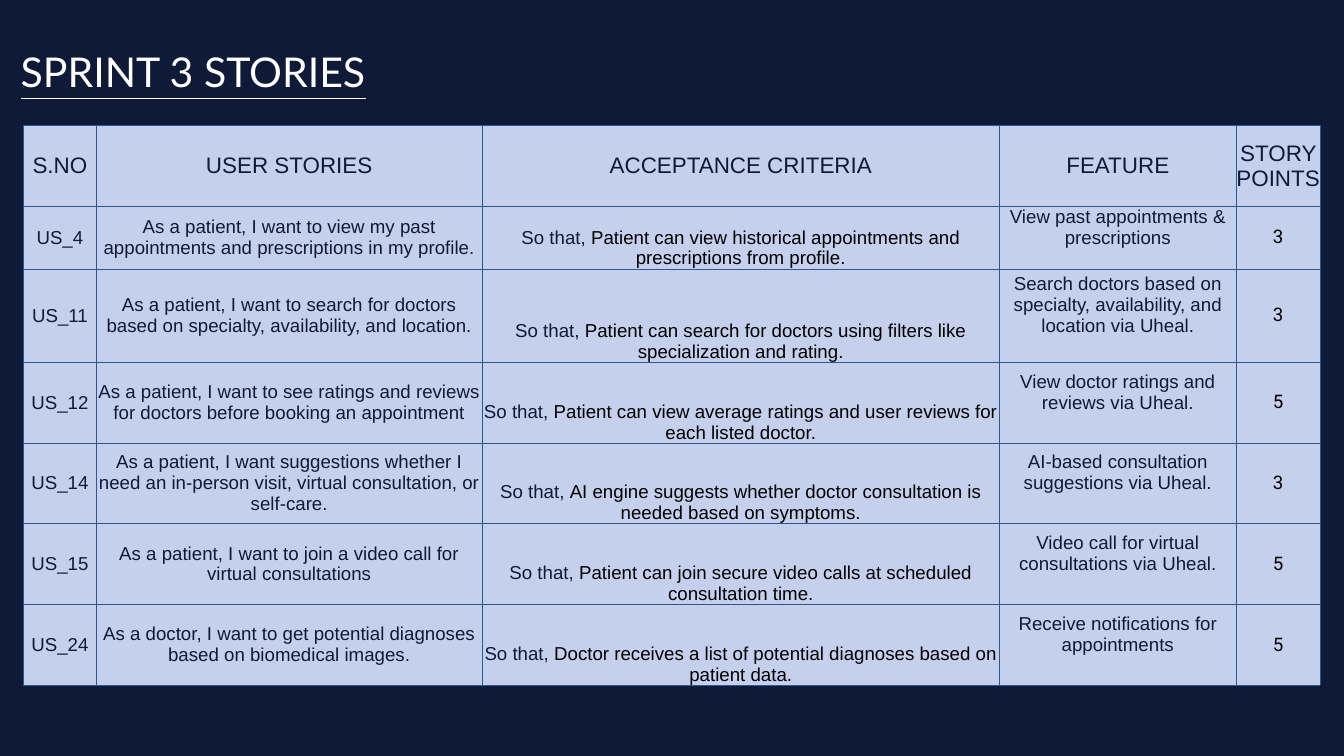
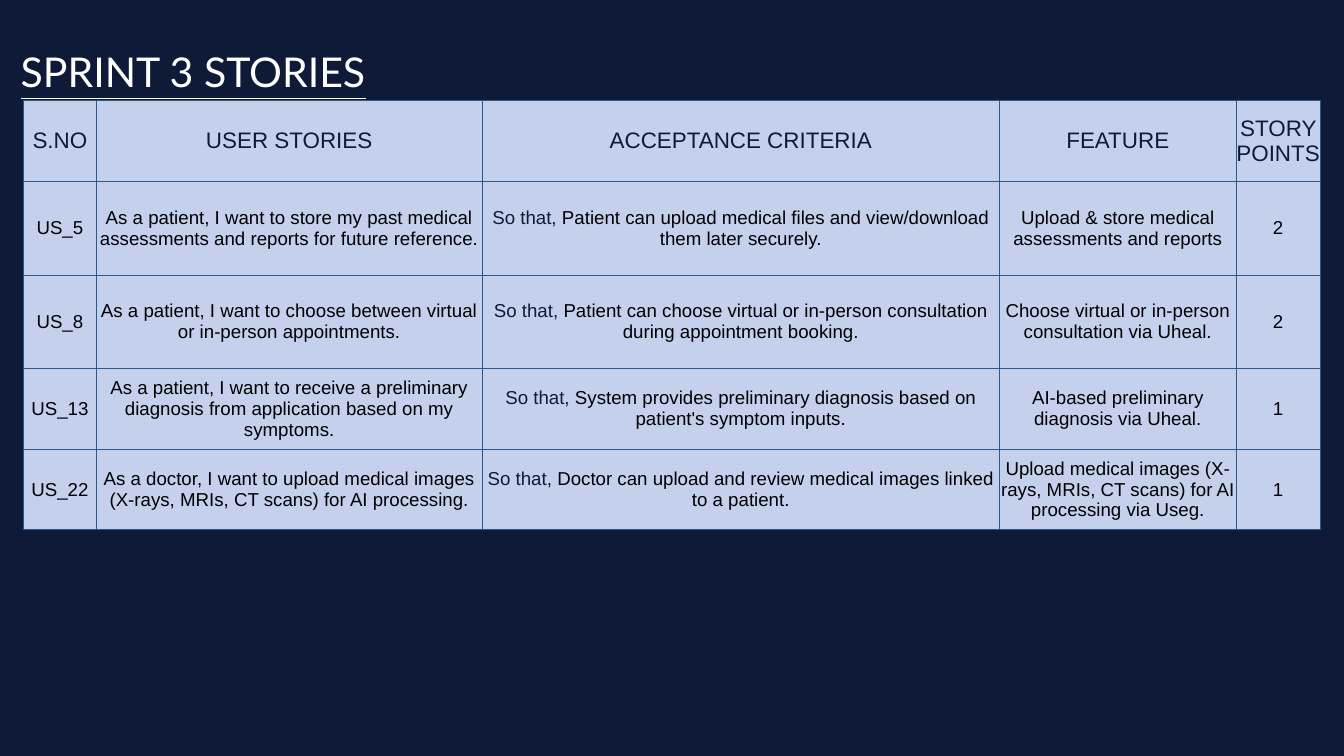
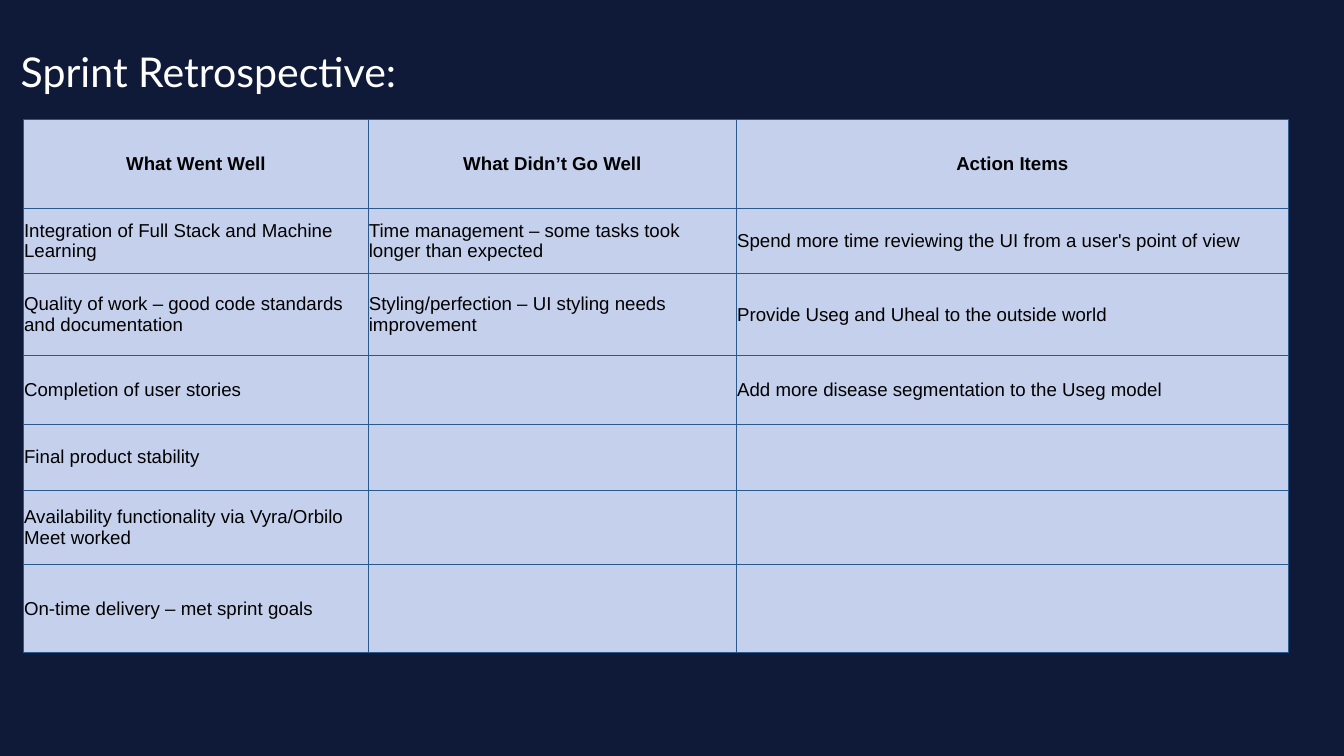
from dataclasses import dataclass, field

import pptx
import pptx.dml.color
import pptx.enum.text
import pptx.oxml.ns
import pptx.util
from lxml import etree
from pptx.util import Cm

COLORS = {
    "navy": "0F1A38",
    "cell": "C4D0EC",
    "border": "2A598E",
    "black": "000000",
    "white": "FFFFFF",
}
BORDER_WIDTH = pptx.util.Pt(0.75)
TABLE_LEFT = 0.89
ALIGN = pptx.enum.text.PP_ALIGN
ANCHOR = pptx.enum.text.MSO_ANCHOR

STORY_COLUMNS = [2.75, 14.58, 19.56, 8.94, 3.18]
STORY_HEADINGS = ["S.NO", "USER STORIES", "ACCEPTANCE CRITERIA", "FEATURE", "STORY POINTS"]
HEADING_HEIGHT = 3.05


@dataclass
class CellText:
    """Text of one table cell; the lead is a navy opening before the text."""
    text: str
    lead: str = ""
    size: int = 20
    font: str = "Arial"
    color: str = "black"
    bold: bool = False
    align: ALIGN = ALIGN.CENTER
    anchor: ANCHOR = ANCHOR.MIDDLE
    inset: float = 0.02
    bottom: float = 0


@dataclass
class Grid:
    """Position, column widths and row heights (cm) with the cells by row."""
    top: float
    columns: list[float]
    heights: list[float]
    rows: list[list[CellText]] = field(default_factory=list)


@dataclass
class Story:
    number: str
    wish: str
    criterion: str
    feature: str
    points: int
    height: float = 3.05


# ---- Content ----
PROFILE_STORIES = [
    Story("US_4", "As a patient, I want to view my past appointments and prescriptions in my profile.",
          "Patient can view historical appointments and prescriptions from profile.",
          "View past appointments & prescriptions", 3, 2.24),
    Story("US_11", "As a patient, I want to search for doctors based on specialty, availability, and location.",
          "Patient can search for doctors using filters like specialization and rating.",
          "Search doctors based on specialty, availability, and location via Uheal.", 3, 3.53),
    Story("US_12", "As a patient, I want to see ratings and reviews for doctors before booking an appointment",
          "Patient can view average ratings and user reviews for each listed doctor.",
          "View doctor ratings and reviews via Uheal.", 5),
    Story("US_14", "As a patient, I want suggestions whether I need an in-person visit, "
          "virtual consultation, or self-care.",
          "AI engine suggests whether doctor consultation is needed based on symptoms.",
          "AI-based consultation suggestions via Uheal.", 3),
    Story("US_15", "As a patient, I want to join a video call for virtual consultations",
          "Patient can join secure video calls at scheduled consultation time.",
          "Video call for virtual consultations via Uheal.", 5),
    Story("US_24", "As a doctor, I want to get potential diagnoses based on biomedical images.",
          "Doctor receives a list of potential diagnoses based on patient data.",
          "Receive notifications for appointments", 5),
]

RECORD_STORIES = [
    Story("US_5", "As a patient, I want to store my past medical assessments and reports for future reference.",
          "Patient can upload medical files and view/download them later securely.",
          "Upload & store medical assessments and reports", 2, 3.53),
    Story("US_8", "As a patient, I want to choose between virtual or in-person appointments.",
          "Patient can choose virtual or in-person consultation during appointment booking.",
          "Choose virtual or in-person consultation via Uheal.", 2, 3.53),
    Story("US_13", "As a patient, I want to receive a preliminary diagnosis from application based on my symptoms.",
          "System provides preliminary diagnosis based on patient's symptom inputs.",
          "AI-based preliminary diagnosis via Uheal.", 1),
    Story("US_22", "As a doctor, I want to upload medical images (X-rays, MRIs, CT scans) for AI processing.",
          "Doctor can upload and review medical images linked to a patient.",
          "Upload medical images (X-rays, MRIs, CT scans) for AI processing via Useg.", 1),
]

RETROSPECTIVE = {
    "What Went Well": [
        "Integration of Full Stack and Machine Learning",
        "Quality of work – good code standards and documentation",
        "Completion of user stories",
        "Final product stability",
        "Availability functionality via Vyra/Orbilo Meet worked",
        "On-time delivery – met sprint goals",
    ],
    "What Didn’t Go Well": [
        "Time management – some tasks took longer than expected",
        "Styling/perfection – UI styling needs improvement",
    ],
    "Action Items": [
        "Spend more time reviewing the UI from a user's point of view",
        "Provide Useg and Uheal to the outside world",
        "Add more disease segmentation to the Useg model",
    ],
}


# ---- Drawing ----
def rgb(name: str) -> pptx.dml.color.RGBColor:
    return pptx.dml.color.RGBColor.from_string(COLORS[name])


def add_text(paragraph, text: str, *, size: int, font: str, color: str,
             bold: bool = False, underline: bool = False) -> None:
    run = paragraph.add_run()
    run.text = text
    run.font.size = pptx.util.Pt(size)
    run.font.name = font
    run.font.color.rgb = rgb(color)
    run.font.bold = bold
    run.font.underline = underline


def add_titled_slide(deck, title_text: str, underline: bool = False):
    slide = deck.slides.add_slide(deck.slide_layouts[5])
    title = slide.shapes.title
    title.left, title.top, title.width, title.height = Cm(0.53), Cm(0.66), Cm(33.32), Cm(4.09)
    frame = title.text_frame
    frame.word_wrap = True
    frame.auto_size = pptx.enum.text.MSO_AUTO_SIZE.NONE
    frame.vertical_anchor = ANCHOR.MIDDLE
    heading = frame.paragraphs[0]
    heading.alignment = ALIGN.LEFT
    add_text(heading, title_text, size=44, font="Lato", color="white", underline=underline)
    return slide


def style_cell(cell) -> None:
    properties = cell._tc.get_or_add_tcPr()
    for side in ("a:lnL", "a:lnR", "a:lnT", "a:lnB"):
        line = etree.SubElement(properties, pptx.oxml.ns.qn(side), w=str(int(BORDER_WIDTH)))
        fill = etree.SubElement(line, pptx.oxml.ns.qn("a:solidFill"))
        etree.SubElement(fill, pptx.oxml.ns.qn("a:srgbClr"), val=COLORS["border"])
    cell.fill.solid()
    cell.fill.fore_color.rgb = rgb("cell")


def fill_cell(cell, content: CellText) -> None:
    style_cell(cell)
    cell.margin_left = cell.margin_right = cell.margin_top = Cm(content.inset)
    cell.margin_bottom = Cm(content.bottom)
    cell.vertical_anchor = content.anchor
    paragraph = cell.text_frame.paragraphs[0]
    paragraph.alignment = content.align
    if content.lead:
        add_text(paragraph, content.lead, size=content.size, font=content.font, color="navy")
    if content.text:
        add_text(paragraph, content.text, size=content.size, font=content.font,
                 color=content.color, bold=content.bold)


def add_grid(slide, grid: Grid) -> None:
    table = slide.shapes.add_table(
        len(grid.rows), len(grid.columns), Cm(TABLE_LEFT), Cm(grid.top),
        Cm(sum(grid.columns)), Cm(sum(grid.heights))).table
    table.horz_banding = False
    for column, width in zip(table.columns, grid.columns):
        column.width = Cm(width)
    for row, height, contents in zip(table.rows, grid.heights, grid.rows):
        row.height = Cm(height)
        for cell, content in zip(row.cells, contents):
            fill_cell(cell, content)


# ---- Tables ----
def story_grid(top: float, stories: list[Story], raised: bool) -> Grid:
    """Raised tables lift the feature text and set the criteria on the row's base."""
    plain = {"color": "navy", "inset": 0} if raised else {}
    criterion = {"anchor": ANCHOR.BOTTOM} if raised else {}
    feature = {**plain, "bottom": 0.79} if raised else {}
    points = {"font": "Roboto", "inset": 0} if raised else {}
    rows = [[CellText(text, size=24, color="navy", inset=0) for text in STORY_HEADINGS]]
    for story in stories:
        rows.append([
            CellText(story.number, **plain),
            CellText(story.wish, **plain),
            CellText(story.criterion, lead="So that, ", **criterion),
            CellText(story.feature, **feature),
            CellText(str(story.points), **points),
        ])
    heights = [HEADING_HEIGHT] + [story.height for story in stories]
    return Grid(top, STORY_COLUMNS, heights, rows)


def retrospective_grid() -> Grid:
    heights = [3.35, 2.46, 3.12, 2.59, 2.49, 2.79, 3.35]
    rows = [[CellText(heading, bold=True) for heading in RETROSPECTIVE]]
    for index in range(len(heights) - 1):
        rows.append([CellText(points[index] if index < len(points) else "", align=ALIGN.LEFT)
                     for points in RETROSPECTIVE.values()])
    return Grid(4.52, [13.03, 13.92, 20.85], heights, rows)


def main() -> None:
    deck = pptx.Presentation()
    deck.slide_width, deck.slide_height = Cm(50.8), Cm(28.58)
    background = deck.slide_master.background.fill
    background.solid()
    background.fore_color.rgb = rgb("navy")

    # Sprint stories
    for top, stories, raised in ((4.75, PROFILE_STORIES, True), (3.81, RECORD_STORIES, False)):
        slide = add_titled_slide(deck, "SPRINT 3 STORIES", underline=True)
        add_grid(slide, story_grid(top, stories, raised))

    # Retrospective
    add_grid(add_titled_slide(deck, "Sprint Retrospective:"), retrospective_grid())

    deck.save("out.pptx")


if __name__ == "__main__":
    main()
